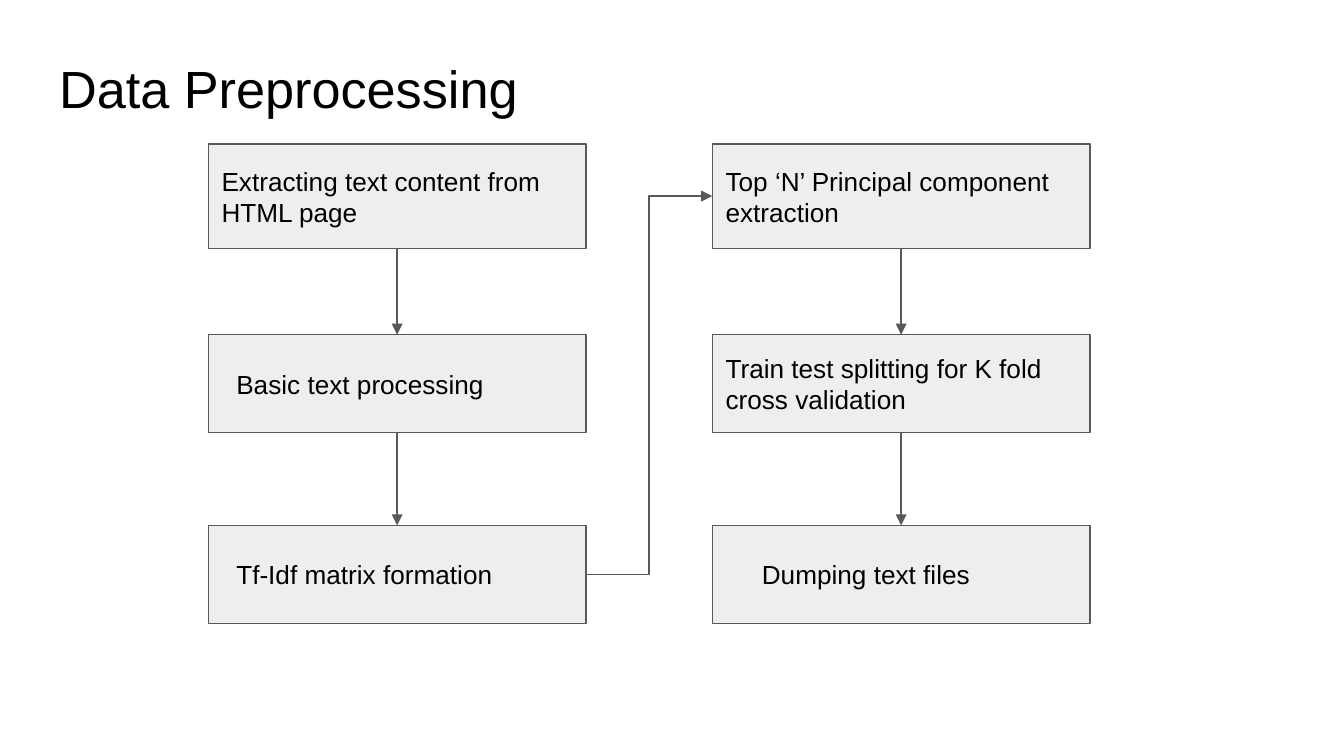
"""Build the Data Preprocessing flowchart slide."""
from dataclasses import dataclass

from lxml.etree import SubElement
from pptx import Presentation
from pptx.dml.color import RGBColor
from pptx.enum.shapes import MSO_CONNECTOR, MSO_SHAPE
from pptx.enum.text import MSO_ANCHOR, MSO_AUTO_SIZE, PP_ALIGN
from pptx.oxml.ns import qn
from pptx.util import Inches, Pt


@dataclass(frozen=True)
class Theme:
    font: str = "Arial"
    text: RGBColor = RGBColor(0x00, 0x00, 0x00)
    fill: RGBColor = RGBColor(0xEE, 0xEE, 0xEE)
    line: RGBColor = RGBColor(0x59, 0x59, 0x59)
    title_size: Pt = Pt(28)
    body_size: Pt = Pt(14)
    line_width: Pt = Pt(0.75)


THEME = Theme()
LEFT, TOP = 1.55, 1.07
COLUMN_STEP, ROW_STEP = 3.75, 1.42
BOX_WIDTH = 2.81
ROW_HEIGHTS = [0.78, 0.73, 0.73]
TOP_SITE, LEFT_SITE, BOTTOM_SITE, RIGHT_SITE = range(4)
COLUMNS = [
    [
        ("Extracting text content from HTML page", 0),
        ("Basic text processing", 0.11),
        ("Tf-Idf matrix formation", 0.11),
    ],
    [
        ("Top ‘N’ Principal component extraction", 0),
        ("Train test splitting for K fold cross validation", 0),
        ("Dumping text files", 0.27),
    ],
]


def write(shape, text, size, anchor, indent=0):
    frame = shape.text_frame
    frame.word_wrap = True
    frame.auto_size = MSO_AUTO_SIZE.NONE
    frame.vertical_anchor = anchor
    frame.margin_left = frame.margin_right = Inches(0.1)
    frame.margin_top = frame.margin_bottom = Inches(0.1)
    frame.text = text
    para = frame.paragraphs[0]
    para.alignment = PP_ALIGN.LEFT
    para.line_spacing = 1.0
    para.font.name = THEME.font
    para.font.size = size
    para.font.color.rgb = THEME.text
    para._p.get_or_add_pPr().set("marL", str(Inches(indent)))


def connect(page, kind, start, start_site, end, end_site):
    arrow = page.shapes.add_connector(kind, 0, 0, 0, 0)
    arrow.begin_connect(start, start_site)
    arrow.end_connect(end, end_site)
    arrow.line.color.rgb = THEME.line
    arrow.line.width = THEME.line_width
    SubElement(arrow.line._get_or_add_ln(), qn("a:tailEnd"), type="triangle")
    SubElement(arrow._element.spPr, qn("a:effectLst"))


deck = Presentation()
deck.slide_width = Inches(10)
deck.slide_height = deck.slide_width * 9 // 16
page = deck.slides.add_slide(deck.slide_layouts[5])

title = page.shapes.title
title.left, title.top = Inches(0.34), Inches(0.32)
title.width, title.height = Inches(9.32), Inches(0.63)
write(title, "Data Preprocessing", THEME.title_size, MSO_ANCHOR.TOP)

columns = []
for column, steps in enumerate(COLUMNS):
    boxes = []
    for row, (text, indent) in enumerate(steps):
        box = page.shapes.add_shape(
            MSO_SHAPE.RECTANGLE,
            Inches(LEFT + column * COLUMN_STEP),
            Inches(TOP + row * ROW_STEP),
            Inches(BOX_WIDTH),
            Inches(ROW_HEIGHTS[row]),
        )
        box.shadow.inherit = False
        box.fill.solid()
        box.fill.fore_color.rgb = THEME.fill
        box.line.color.rgb = THEME.line
        box.line.width = THEME.line_width
        write(box, text, THEME.body_size, MSO_ANCHOR.MIDDLE, indent)
        boxes.append(box)
    columns.append(boxes)

for boxes in columns:
    for upper, lower in zip(boxes, boxes[1:]):
        connect(page, MSO_CONNECTOR.STRAIGHT, upper, BOTTOM_SITE, lower, TOP_SITE)

first, second = columns
connect(page, MSO_CONNECTOR.ELBOW, first[-1], RIGHT_SITE, second[0], LEFT_SITE)

deck.save("out.pptx")
